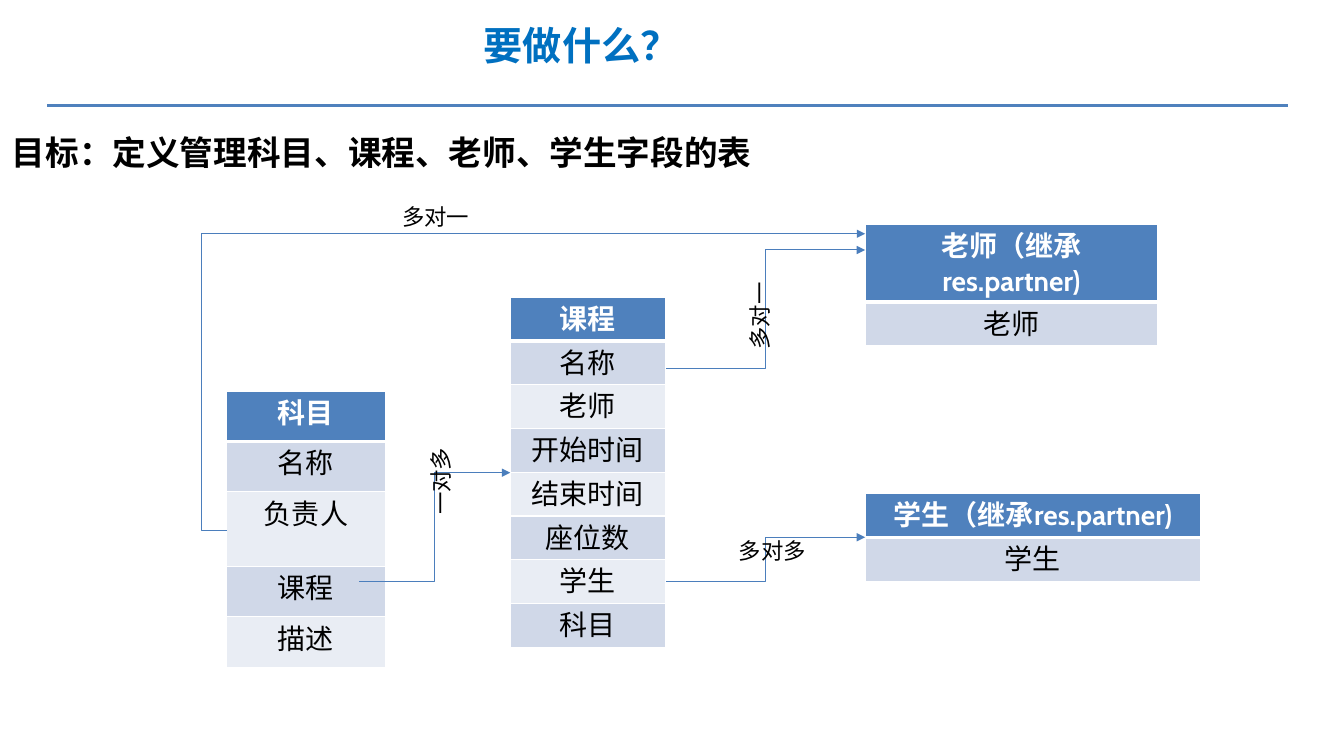
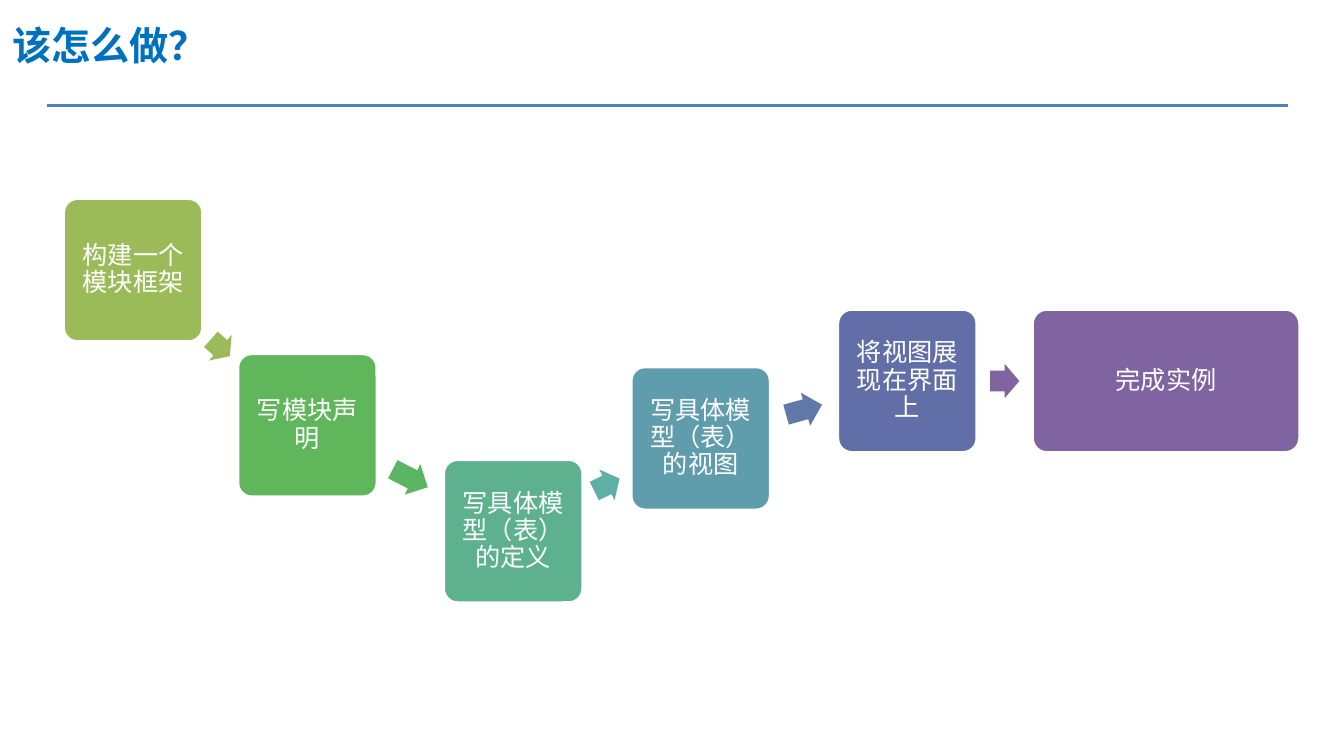
import math
from dataclasses import dataclass

import pptx
import pptx.util
import pptx.dml.color
import pptx.enum.shapes
import pptx.enum.text
import pptx.oxml
import pptx.oxml.ns

Pt = pptx.util.Pt
Shape = pptx.enum.shapes.MSO_SHAPE
Link = pptx.enum.shapes.MSO_CONNECTOR
Align = pptx.enum.text.PP_ALIGN
Anchor = pptx.enum.text.MSO_ANCHOR
Fit = pptx.enum.text.MSO_AUTO_SIZE
qn = pptx.oxml.ns.qn
NS = pptx.oxml.ns.nsdecls("a")

WIDE, HIGH = pptx.util.Inches(13.33), pptx.util.Inches(7.5)


@dataclass(frozen=True)
class Theme:
    font: str = "Cabin"
    cjk: str = "Noto Sans CJK SC"
    white: str = "FFFFFF"
    black: str = "000000"
    title: str = "0070C0"
    blue: str = "4F81BD"
    link: str = "4B7EBC"
    bands: tuple = ("D0D8E8", "E9EDF4")
    steps: tuple = ("9BBB59", "5FB65B", "5DB18E", "5F9DAC", "626EA7", "8064A2")
    arrows: tuple = ("9BBB59", "5CB565", "5EAFA6", "6179A8", "8064A2")
    head: int = 28
    goal: int = 24
    cell: int = 20
    step: int = 18
    label: int = 16


T = Theme()


# Lengths: percent of the slide's width or height
def px(share):
    return round(WIDE * share / 100)


def py(share):
    return round(HIGH * share / 100)


def box(x, y, w, h):
    return px(x), py(y), px(w), py(h)


def rgb(code):
    return pptx.dml.color.RGBColor.from_string(code)


# Text
def write(frame, text, size, color, bold=False, align=Align.LEFT, font=T.font):
    para = frame.paragraphs[0]
    para.alignment = align
    run = para.add_run()
    run.text = text
    run.font.size = Pt(size)
    run.font.bold = bold
    run.font.color.rgb = rgb(color)
    run.font.name = font
    east = pptx.oxml.parse_xml(f'<a:ea {NS} typeface="{font}"/>')
    run.font._element.find(qn("a:latin")).addnext(east)
    return para


def label(slide, text, x, y, w=6.6, h=4.93, size=T.label, bold=False, turn=0):
    area = slide.shapes.add_textbox(*box(x, y, w, h))
    area.rotation = turn
    area.text_frame.word_wrap = False
    area.text_frame.auto_size = Fit.SHAPE_TO_FIT_TEXT
    write(area.text_frame, text, size, T.black, bold)


# Lines
def wire(slide, kind, start, end, color, width):
    line = slide.shapes.add_connector(
        kind, px(start[0]), py(start[1]), px(end[0]), py(end[1]))
    line.line.color.rgb = rgb(color)
    line.line.width = Pt(width)
    line.element.spPr.append(pptx.oxml.parse_xml(f"<a:effectLst {NS}/>"))
    return line


def bend(slide, start, end, knee=None):
    line = wire(slide, Link.ELBOW, start, end, T.link, 0.75)
    tip = pptx.oxml.parse_xml(f'<a:tailEnd {NS} type="triangle"/>')
    line.line._get_or_add_ln().append(tip)
    if knee is not None:
        geom = line.element.spPr.find(qn("a:prstGeom"))
        for old in geom.findall(qn("a:avLst")):
            geom.remove(old)
        geom.append(pptx.oxml.parse_xml(
            f'<a:avLst {NS}><a:gd name="adj1" fmla="val {round(knee * 1e5)}"/></a:avLst>'))


# Tables
def edge(cell, base):
    props = cell._tc.get_or_add_tcPr()
    for spot, (side, width) in enumerate(
            (("L", 1), ("R", 1), ("T", 1), ("B", base))):
        props.insert(spot, pptx.oxml.parse_xml(
            f'<a:ln{side} {NS} w="{Pt(width)}"><a:solidFill>'
            f'<a:srgbClr val="{T.white}"/></a:solidFill></a:ln{side}>'))


def grid(slide, names, x, y, w, rows):
    table = slide.shapes.add_table(
        len(names), 1, *box(x, y, w, sum(rows))).table
    for num, (name, high) in enumerate(zip(names, rows)):
        table.rows[num].height = py(high)
        cell = table.cell(num, 0)
        top = num == 0
        cell.fill.solid()
        cell.fill.fore_color.rgb = rgb(T.blue if top else T.bands[(num - 1) % 2])
        edge(cell, 3 if top else 1)
        write(cell.text_frame, name, T.cell, T.white if top else T.black,
              top, Align.CENTER)


# Process steps
def form(slide, kind, area, color):
    item = slide.shapes.add_shape(kind, *area)
    item.shadow.inherit = False
    item.fill.solid()
    item.fill.fore_color.rgb = rgb(color)
    item.line.fill.background()
    return item


def step(slide, text, x, y, w, color):
    item = form(slide, Shape.ROUNDED_RECTANGLE, box(x, y, w, 18.93), color)
    item.adjustments[0] = 0.1
    item.line.color.rgb = rgb(T.white)
    item.line.width = Pt(2)
    frame = item.text_frame
    frame.word_wrap = True
    frame.vertical_anchor = Anchor.MIDDLE
    frame.margin_left = frame.margin_right = Pt(5)
    frame.margin_top = frame.margin_bottom = Pt(5)
    para = write(frame, text, T.step, T.white, align=Align.CENTER)
    para.line_spacing = 0.9
    return item


def arrow(slide, prev, succ, w, color):
    """Place an arrow mid-gap, turned from one step's centre to the next's."""
    wide, high = px(w), py(4.53)
    midx = (prev.left + prev.width + succ.left) // 2
    midy = (prev.top + succ.top + prev.height) // 2
    item = form(slide, Shape.RIGHT_ARROW,
                (midx - wide // 2, midy - high // 2, wide, high), color)
    item.adjustments[0] = 0.6
    item.adjustments[1] = 0.5
    run = succ.left + succ.width / 2 - prev.left - prev.width / 2
    item.rotation = math.degrees(math.atan2(succ.top - prev.top, run))


# Slides
def page(deck, layout, text, align, font):
    slide = deck.slides.add_slide(layout)
    title = slide.shapes.title
    title.left, title.top, title.width, title.height = box(0.15, 1.87, 86.27, 8.8)
    title.text_frame.vertical_anchor = Anchor.MIDDLE
    title.text_frame.auto_size = Fit.NONE
    para = write(title.text_frame, text, T.head, T.title, True, align, font)
    para.line_spacing = 0.9
    return slide


def model(slide):
    label(slide, "目标：定义管理科目、课程、老师、学生字段的表",
          0.15, 16.8, 57.3, 6.67, T.goal, True)

    # Models
    row = 5.79
    grid(slide, ("科目", "名称", "负责人", "课程", "描述"),
         16.88, 51.73, 11.78, (6.67, 6.67, 9.87, 6.67, 6.67))
    grid(slide, ("课程", "名称", "老师", "开始时间", "结束时间", "座位数", "学生", "科目"),
         37.96, 39.33, 11.55, [row] * 8)
    grid(slide, ("老师（继承res.partner)", "老师"), 64.37, 29.73, 21.76, (10, row))
    grid(slide, ("学生（继承res.partner)", "学生"), 64.37, 65.33, 24.98, (row, row))

    # Relations
    bend(slide, (26.71, 76.93), (37.96, 62.53))
    bend(slide, (49.59, 48.8), (64.37, 33.07))
    bend(slide, (49.59, 76.93), (64.37, 71.07))
    bend(slide, (16.88, 70.13), (64.37, 30.93), -0.04)
    label(slide, "多对多", 54.24, 70.4)
    label(slide, "多对一", 53.26, 39.2, turn=270)
    label(slide, "一对多", 29.48, 61.07, turn=270)
    label(slide, "多对一", 29.18, 26.27)


def flow(slide):
    plan = (
        ("构建一个模块框架", 4.73, 26.27, 10.35),
        ("写模块声明", 17.7, 46.8, 10.35),
        ("写具体模型（表）的定义", 33.01, 60.8, 10.35),
        ("写具体模型（表）的视图", 46.96, 48.53, 10.35),
        ("将视图展现在界面上", 62.34, 40.93, 10.35),
        ("完成实例", 76.82, 40.93, 19.88),
    )
    steps = [step(slide, *part, color) for part, color in zip(plan, T.steps)]
    sizes = (1.88, 2.93, 2.1, 2.78, 2.18)
    for prev, succ, w, color in zip(steps, steps[1:], sizes, T.arrows):
        arrow(slide, prev, succ, w, color)


def main():
    deck = pptx.Presentation()
    deck.slide_width, deck.slide_height = WIDE, HIGH
    layout = deck.slide_layouts[5]

    first = page(deck, layout, "要做什么？", Align.CENTER, T.cjk)
    # The rule under the title belongs to the shared layout
    rule = wire(first, Link.STRAIGHT, (3.53, 14), (95.87, 14), T.blue, 2.25)
    layout.shapes.element.append(rule.element)
    model(first)

    flow(page(deck, layout, "该怎么做？", Align.LEFT, T.font))
    deck.save("out.pptx")


if __name__ == "__main__":
    main()
